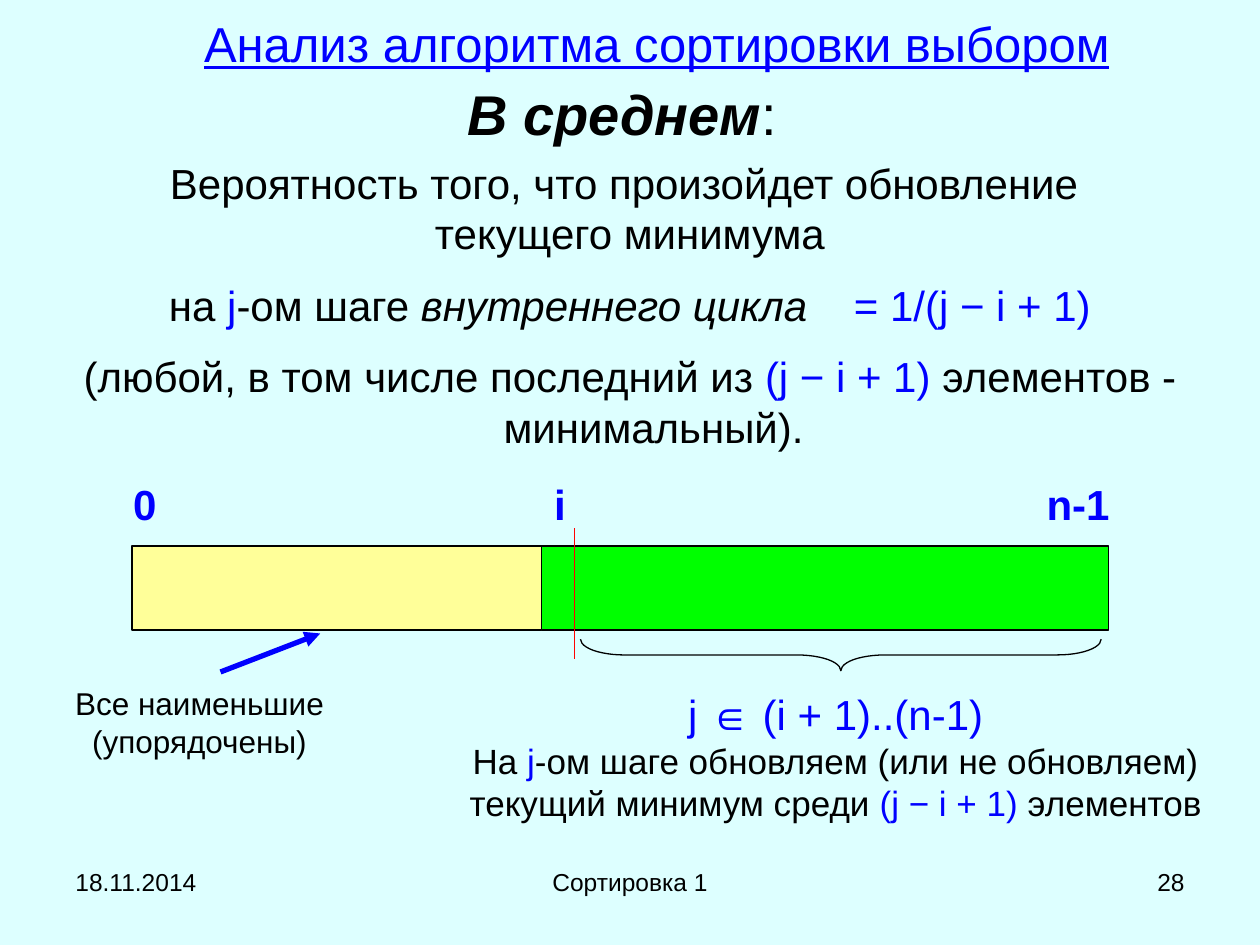
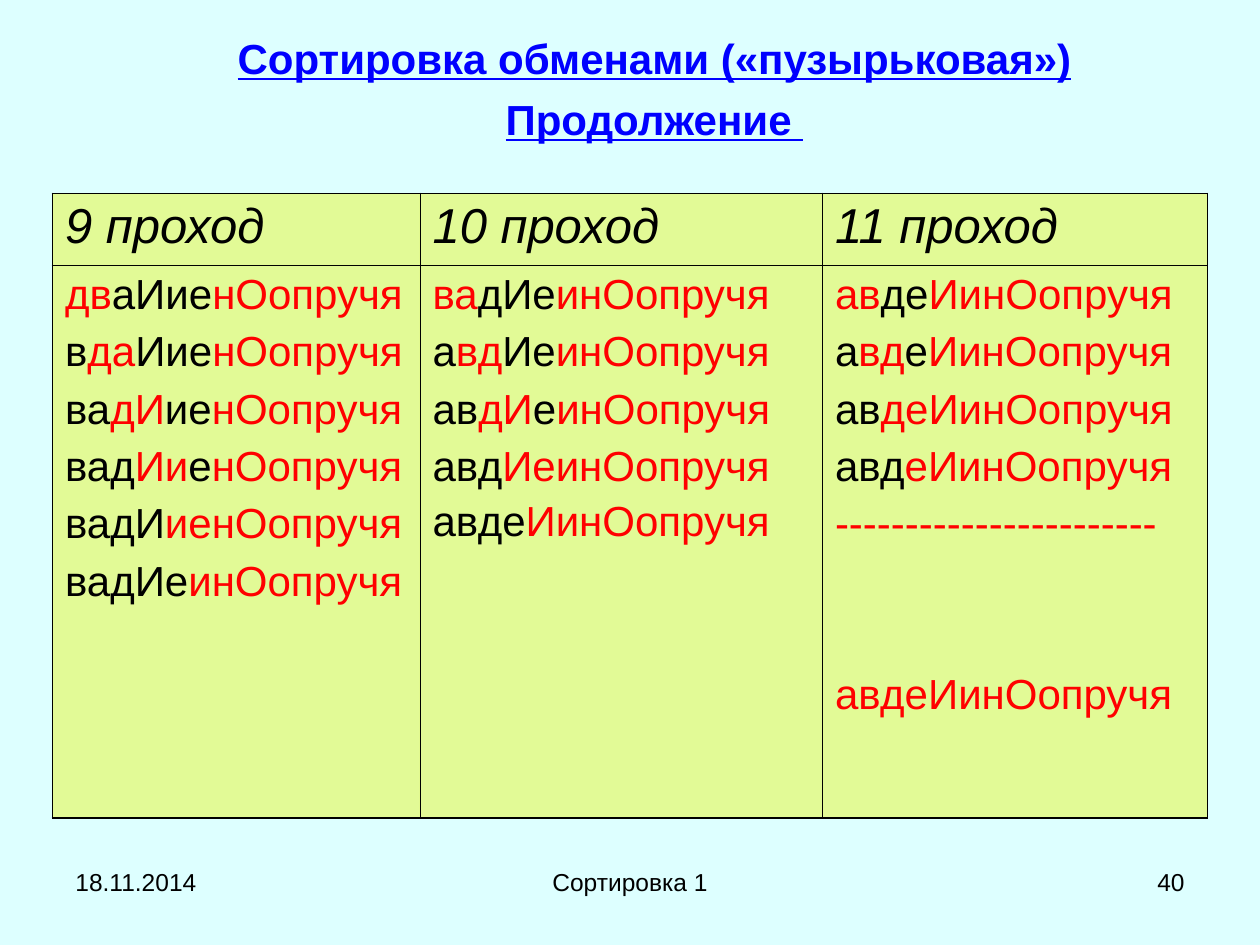
"""Builds two lecture slides on selection sort and bubble sort."""
from dataclasses import dataclass

from lxml import etree
from pptx import Presentation
from pptx.dml.color import RGBColor
from pptx.enum.shapes import MSO_CONNECTOR, MSO_SHAPE
from pptx.enum.text import MSO_ANCHOR, PP_ALIGN
from pptx.oxml.ns import qn
from pptx.util import Pt

LEFT, CENTER, RIGHT = PP_ALIGN.LEFT, PP_ALIGN.CENTER, PP_ALIGN.RIGHT
TOP, MIDDLE = MSO_ANCHOR.TOP, MSO_ANCHOR.MIDDLE
RECTANGLE, LEFT_BRACE = MSO_SHAPE.RECTANGLE, MSO_SHAPE.LEFT_BRACE
STRAIGHT = MSO_CONNECTOR.STRAIGHT


@dataclass(frozen=True)
class Theme:
    font: str = "Arial"
    background: RGBColor = RGBColor(0xDD, 0xFF, 0xFF)
    ink: RGBColor = RGBColor(0, 0, 0)
    blue: RGBColor = RGBColor(0, 0, 0xFF)
    red: RGBColor = RGBColor(0xFF, 0, 0)
    sorted_part: RGBColor = RGBColor(0xFF, 0xFF, 0x99)
    unsorted_part: RGBColor = RGBColor(0, 0xFF, 0)
    cell: RGBColor = RGBColor(0xE8, 0xF6, 0x2E)
    cell_alpha: int = 50000
    lead: int = 32
    title: int = 28
    body: int = 24
    note: int = 20
    label: int = 18
    footer: int = 14
    thin: float = 0.75
    thick: float = 3
    outer_border: float = 1.08
    inner_border: float = 0.45


theme = Theme()


def write(frame, lines, size, color=theme.ink, **shared):
    """Fill a text frame with (paragraph format, spans) lines."""
    for index, (layout, spans) in enumerate(lines):
        para = frame.paragraphs[0] if index == 0 else frame.add_paragraph()
        layout = dict(layout)
        margin, indent = layout.pop("margins", (0, 0))
        properties = para._p.get_or_add_pPr()
        properties.set("marL", str(Pt(margin)))
        properties.set("indent", str(Pt(indent)))
        for name, value in layout.items():
            setattr(para, name, value)
        for text, changes in spans:
            span = para.add_run()
            span.text = text
            values = {"name": theme.font, "size": size, "color": color, **shared, **changes}
            span.font.color.rgb = values.pop("color")
            values["size"] = Pt(values["size"])
            spacing = values.pop("spacing", 0)
            if spacing:
                span._r.get_or_add_rPr().set("spc", str(spacing * 100))
            for name, value in values.items():
                setattr(span.font, name, value)


def add_text(page, area, lines, size, anchor=TOP, **shared):
    """Add a wrapped text box at an area given in points."""
    box = page.shapes.add_textbox(*map(Pt, area))
    box.text_frame.word_wrap = True
    box.text_frame.vertical_anchor = anchor
    write(box.text_frame, lines, size, **shared)


deck = Presentation()
deck.slide_width, deck.slide_height = Pt(720), Pt(540)
master_fill = deck.slide_master.background.fill
master_fill.solid()
master_fill.fore_color.rgb = theme.background
blank = deck.slide_layouts[6]
analysis, bubble = [deck.slides.add_slide(blank) for _ in range(2)]

for page, number in ((analysis, "28"), (bubble, "40")):
    for left, width, alignment, text in (
        (36, 168, LEFT, "18.11.2014"),
        (246, 228, CENTER, "Сортировка 1"),
        (516, 168, RIGHT, number),
    ):
        add_text(page, (left, 492, width, 37.5),
                 [({"alignment": alignment}, [(text, {})])], theme.footer)

centered = {"alignment": CENTER}
hanging = {**centered, "margins": (27, -27)}
spaced = {**hanging, "space_before": Pt(6), "space_after": Pt(6)}
blue = {"color": theme.blue}

add_text(analysis, (0, 42, 720, 228), [
    (hanging, [("В среднем", {"size": theme.lead, "bold": True, "italic": True}),
               (": ", {"size": theme.lead})]),
    ({**hanging, "space_before": Pt(6)},
     [("Вероятность того, что произойдет обновление ", {})]),
    ({**hanging, "space_after": Pt(6)}, [("текущего минимума", {})]),
    (spaced, [(" на ", {}), ("j", blue), ("-ом шаге ", {}),
              ("внутреннего цикла", {"italic": True}), (" ", {"spacing": 20}),
              ("= 1/(j − i + 1) ", blue)]),
    (spaced, [("(любой, в том числе последний из ", {}), ("(j − i + 1)", blue),
              (" элементов - минимальный).", {})]),
], theme.body)
add_text(analysis, (52, 4, 646.5, 41),
         [(centered, [("Анализ алгоритма сортировки выбором", {})])],
         theme.title, anchor=MIDDLE, underline=True, **blue)

for left, width, color in ((75.5, 234, theme.sorted_part), (309.5, 324, theme.unsorted_part)):
    part = analysis.shapes.add_shape(RECTANGLE, Pt(left), Pt(312), Pt(width), Pt(48))
    part.shadow.inherit = False
    part.fill.solid()
    part.fill.fore_color.rgb = color
    part.line.color.rgb = theme.ink
    part.line.width = Pt(theme.thin)

for left, width, text in ((69, 42, "0"), (309.5, 24, "i"), (591, 53, "n-1")):
    add_text(analysis, (left, 270, width, 36), [({}, [(text, {})])],
             theme.body, bold=True, **blue)

brace = analysis.shapes.add_shape(LEFT_BRACE, Pt(471.5), Pt(225.5), Pt(18), Pt(297.5))
brace.rotation = 270
brace.adjustments[0] = 1.39
brace.shadow.inherit = False
brace.fill.background()
brace.line.color.rgb = theme.ink
brace.line.width = Pt(theme.thin)

for ends, color, width, arrow in (
    ((126, 384, 183, 362), theme.blue, theme.thick, True),
    ((328.5, 302, 328.5, 376.5), theme.red, theme.thin, False),
):
    line = analysis.shapes.add_connector(STRAIGHT, *map(Pt, ends))
    line.line.color.rgb = color
    line.line.width = Pt(width)
    if arrow:
        etree.SubElement(line.line._get_or_add_ln(), qn("a:tailEnd"), type="triangle")
    etree.SubElement(line._element.spPr, qn("a:effectLst"))

add_text(analysis, (13, 387.5, 202, 50),
         [(centered, [("Все наименьшие (упорядочены)", {})])], theme.label)
add_text(analysis, (247, 390, 461, 84), [
    (centered, [("j ∈ (i + 1)..(n-1)", {"size": theme.body, **blue})]),
    (centered, [("На ", {}), ("j", blue),
                ("-ом шаге обновляем (или не обновляем) текущий минимум среди ", {}),
                ("(j − i + 1)", blue), (" элементов", {})]),
], theme.note)

passes = {
    "9 проход": ("|дв|аИие|нОопручя", "в|да|Иие|нОопручя", "ва|дИ|ие|нОопручя",
                 "вад|Ии|е|нОопручя", "вадИ|иенОопручя", "вадИе|инОопручя"),
    "10 проход": ("|ва|дИе|инОопручя", "а|вд|Ие|инОопручя", "ав|дИ|е|инОопручя",
                  "авд|ИеинОопручя", "авде|ИинОопручя"),
    "11 проход": ("|ав|де|ИинОопручя", "а|вд|е|ИинОопручя", "ав|деИинОопручя",
                  "авд|еИинОопручя", "|-----------------------", "|авдеИинОопручя"),
}
special_gaps = {("10 проход", 4): 4.5, ("11 проход", 5): 71}
column_widths, row_heights = (210, 230, 220), (41, 316)
table = bubble.shapes.add_table(2, 3, Pt(30), Pt(110.5), Pt(660), Pt(357)).table
table.first_row = table.horz_banding = False
for column, width in zip(table.columns, column_widths):
    column.width = Pt(width)
for row, height in zip(table.rows, row_heights):
    row.height = Pt(height)

for column, (heading, steps) in enumerate(passes.items()):
    write(table.cell(0, column).text_frame, [({}, [(heading, {})])],
          theme.title, italic=True)
    lines = []
    for index, step in enumerate(steps):
        gap = special_gaps.get((heading, index), 6 if index else 0)
        spans = [(text, {"color": (theme.ink, theme.red)[turn % 2]})
                 for turn, text in enumerate(step.split("|")) if text]
        lines.append(({"space_before": Pt(gap)}, spans))
    write(table.cell(1, column).text_frame, lines, theme.body)

    for row in range(2):
        cell = table.cell(row, column)
        properties = cell._tc.get_or_add_tcPr()
        edges = {"L": column == 0, "R": column == 2, "T": row == 0, "B": row == 1}
        for side, is_outer in edges.items():
            width = theme.outer_border if is_outer else theme.inner_border
            border = etree.SubElement(properties, qn(f"a:ln{side}"), w=str(Pt(width)))
            paint = etree.SubElement(border, qn("a:solidFill"))
            etree.SubElement(paint, qn("a:srgbClr"), val=str(theme.ink))
        cell.fill.solid()
        cell.fill.fore_color.rgb = theme.cell
        tint = properties.find(qn("a:solidFill")).find(qn("a:srgbClr"))
        etree.SubElement(tint, qn("a:alpha"), val=str(theme.cell_alpha))

indented = {**centered, "margins": (28, 0)}
add_text(bubble, (33, 15, 654, 74), [
    (indented, [("Сортировка обменами («пузырьковая»)", {})]),
    ({**indented, "space_before": Pt(6)}, [("Продолжение ", {})]),
], theme.body, bold=True, underline=True, **blue)

deck.save("out.pptx")
